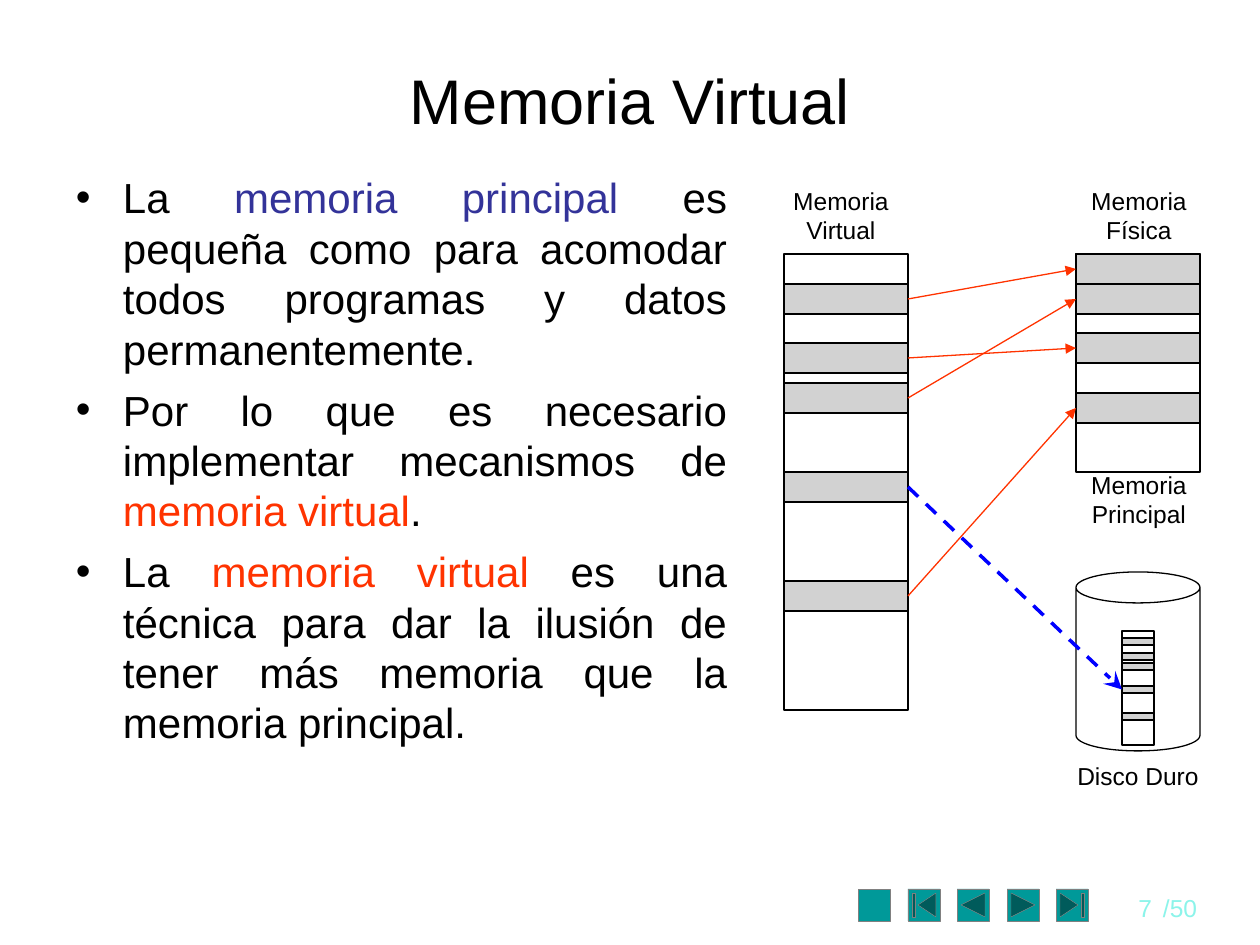
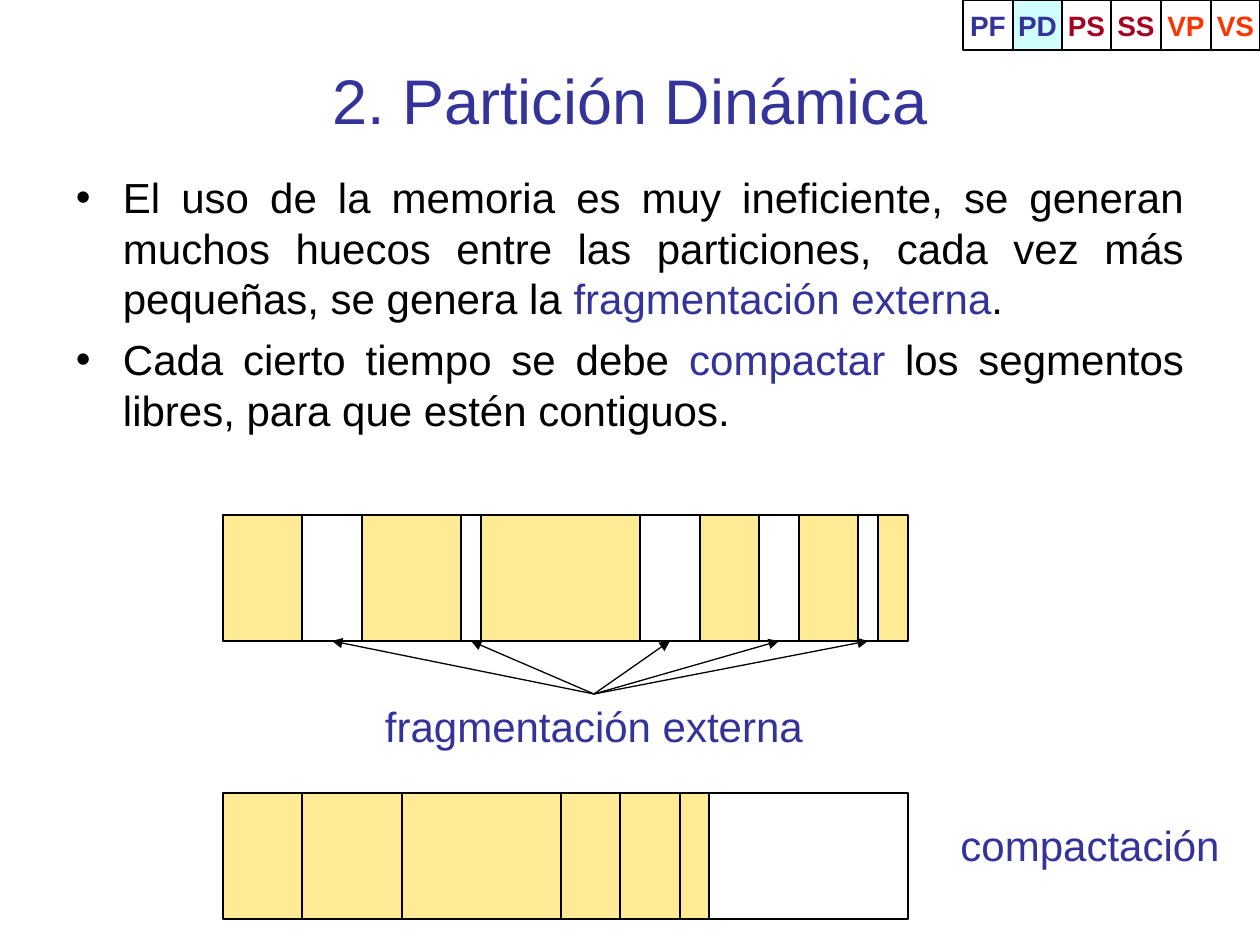
import itertools

import pptx
import pptx.dml.color
import pptx.enum.dml
import pptx.enum.shapes
import pptx.enum.text
import pptx.oxml
import pptx.oxml.ns
import pptx.util

EMU = 914400 / 126
FONT = "Arial"
COLORS = {
    "black": "000000", "white": "FFFFFF", "blue": "333399", "red": "FF3300",
    "wine": "A50021", "link": "0000FF", "gray": "C0C0C0", "edge": "808080",
    "teal": "009999", "aqua": "8CF4EA", "sky": "D1FFFF", "sand": "FFEB95",
}
SHAPE = pptx.enum.shapes.MSO_SHAPE
ALIGN = pptx.enum.text.PP_ALIGN
ANCHOR = pptx.enum.text.MSO_ANCHOR
TOP, LEFT, BOTTOM, RIGHT = range(4)
INSET = (13, 6)


def px(n):
    return pptx.util.Emu(round(n * EMU))


def rgb(name):
    return pptx.dml.color.RGBColor.from_string(COLORS[name])


def add_xml(parent, tag, **attrs):
    node = pptx.oxml.parse_xml(f"<a:{tag} {pptx.oxml.ns.nsdecls('a')}/>")
    for key, value in attrs.items():
        node.set(key, str(value))
    parent.append(node)
    return node


def split(start, total, sizes):
    """Share a length among sizes; give the start and length of each part."""
    ends = [round(total * n / sum(sizes))
            for n in itertools.accumulate(sizes, initial=0)]
    return [(start + a, b - a) for a, b in itertools.pairwise(ends)]


def write(shape, paras, size=14, color="black", bold=False, align=ALIGN.LEFT,
          anchor=ANCHOR.TOP, inset=INSET, wrap=True, bullet=False):
    """Fill a shape with paragraphs: each a string, or a list of runs.

    A run is a string, or a pair of string and colour name.
    """
    frame = shape.text_frame
    frame.word_wrap = wrap
    frame.vertical_anchor = anchor
    frame.margin_left = frame.margin_right = px(inset[0])
    frame.margin_top = frame.margin_bottom = px(inset[1])
    for i, runs in enumerate(paras):
        para = frame.add_paragraph() if i else frame.paragraphs[0]
        para.alignment = align
        if bullet:
            para.space_before = pptx.util.Pt(6)
            props = para._p.get_or_add_pPr()
            props.set("marL", str(px(47)))
            props.set("indent", str(px(-47)))
            add_xml(props, "buFont", typeface=FONT)
            add_xml(props, "buChar", char="•")
        for item in [runs] if isinstance(runs, str) else runs:
            words, tint = (item, color) if isinstance(item, str) else item
            run = para.add_run()
            run.text = words
            run.font.name = FONT
            run.font.size = pptx.util.Pt(size)
            run.font.bold = bold
            run.font.color.rgb = rgb(tint)


class Deck:
    """Holds the style and the current slide."""

    def __init__(self):
        self.file = pptx.Presentation()
        self.file.slide_width = px(1260)
        self.file.slide_height = px(945)
        self.slide = None

    def page(self, title, color="black"):
        self.slide = self.file.slides.add_slide(self.file.slide_layouts[6])
        self.text(63, 56, 1134, 87, [title], size=36, color=color,
                  align=ALIGN.CENTER, anchor=ANCHOR.MIDDLE, inset=(5, 5))

    def text(self, x, y, w, h, paras, **style):
        box = self.slide.shapes.add_textbox(px(x), px(y), px(w), px(h))
        write(box, paras, **style)
        return box

    def body(self, w, h, paras):
        self.text(63, 166, w, h, paras, size=24, align=ALIGN.JUSTIFY, bullet=True)

    def label(self, x, y, w, *lines):
        self.text(x, y, w, 30 * len(lines), lines, align=ALIGN.CENTER,
                  inset=(0, 0), wrap=False)

    def note(self, x, y, w, words):
        """Add a large one-line note, centred with room to spare."""
        return self.text(x, y, w, 63, [words], size=24, color="blue",
                         align=ALIGN.CENTER, inset=(0, 7))

    def shape(self, x, y, w, h, kind=SHAPE.RECTANGLE, fill=None, alpha=None,
              line="black", width=0.75):
        item = self.slide.shapes.add_shape(kind, px(x), px(y), px(w), px(h))
        item.shadow.inherit = False
        item.line.color.rgb = rgb(line)
        item.line.width = pptx.util.Pt(width)
        if fill:
            item.fill.solid()
            item.fill.fore_color.rgb = rgb(fill)
        else:
            item.fill.background()
        if alpha:
            tint = item.fill._xPr.find(".//" + pptx.oxml.ns.qn("a:srgbClr"))
            add_xml(tint, "alpha", val=alpha * 1000)
        return item

    def arrow(self, start, side, end, goal, color="black", width=0.75,
              head="triangle", scale="med", dash=None):
        """Join one side of the start shape to one side of the end shape."""
        link = self.slide.shapes.add_connector(
            pptx.enum.shapes.MSO_CONNECTOR.STRAIGHT, 0, 0, 0, 0)
        link.begin_connect(start, side)
        link.end_connect(end, goal)
        link.line.color.rgb = rgb(color)
        link.line.width = pptx.util.Pt(width)
        if dash:
            link.line.dash_style = dash
        add_xml(link.line._get_or_add_ln(), "tailEnd", type=head, w=scale, len=scale)
        add_xml(link._element.spPr, "effectLst")

    def stack(self, x, y, w, h, units, rows):
        """Draw a memory of some units, with used pages 3 units high."""
        self.shape(x, y, w, h)
        return [self.shape(x, y + round(h * row / units), w, round(h * 3 / units),
                           fill="gray", alpha=70) for row in rows]

    def bar(self, y, parts):
        """Draw a strip of (size, colour) partitions."""
        spans = split(223, 685, [size for size, _ in parts])
        return [self.shape(x, y, w, 126, fill=fill)
                for (x, w), (_, fill) in zip(spans, parts)]

    def tabs(self, names, active):
        for (x, w), (name, color) in zip(split(963, 297, [1] * len(names)), names):
            tab = self.shape(x, 0, w, 50, fill="sky" if name == active else "white")
            write(tab, [name], size=16, color=color, bold=True, wrap=False,
                  align=ALIGN.CENTER, anchor=ANCHOR.MIDDLE)

    def footer(self, number, total):
        kinds = (SHAPE.ACTION_BUTTON_CUSTOM, SHAPE.ACTION_BUTTON_BEGINNING,
                 SHAPE.ACTION_BUTTON_BACK_OR_PREVIOUS,
                 SHAPE.ACTION_BUTTON_FORWARD_OR_NEXT, SHAPE.ACTION_BUTTON_END)
        for (x, _), kind in zip(split(858, 248, [1] * len(kinds)), kinds):
            self.shape(x, 889, 32, 32, kind, fill="teal", line="edge", width=0.25)
        self.text(1097, 887, 68, 42, [str(number)], color="aqua", align=ALIGN.RIGHT)
        self.text(1150, 887, 66, 42, [f"/{total}"], color="aqua")


def show_virtual(deck):
    deck.page("Memoria Virtual")
    deck.footer(7, 50)
    deck.body(677, 694, [
        ["La ", ("memoria principal", "blue"),
         " es pequeña como para acomodar todos programas y datos permanentemente."],
        ["Por lo que es necesario implementar mecanismos de ",
         ("memoria virtual", "red"), "."],
        ["La ", ("memoria virtual", "red"),
         " es una técnica para dar la ilusión de tener más memoria que la"
         " memoria principal."],
    ])
    rows = (3, 9, 13, 22, 33)
    pages = deck.stack(784, 254, 124, 456, 46, rows)
    frames = deck.stack(1076, 254, 124, 218, 22, (0, 3, 8, 14))
    deck.shape(1076, 572, 124, 179, SHAPE.CAN)
    blocks = deck.stack(1122, 631, 32, 114, 46, rows)
    for page, frame in ((0, 0), (1, 2), (2, 1), (4, 3)):
        deck.arrow(pages[page], RIGHT, frames[frame], LEFT, color="red")
    deck.arrow(pages[3], RIGHT, blocks[3], LEFT, color="link", width=2,
               head="stealth", scale="lg", dash=pptx.enum.dml.MSO_LINE.DASH)
    deck.label(793, 186, 96, "Memoria", "Virtual")
    deck.label(1091, 186, 96, "Memoria", "Física")
    deck.label(1091, 470, 96, "Memoria", "Principal")
    deck.label(1077, 761, 122, "Disco Duro")


def show_dynamic(deck):
    deck.page("2. Partición Dinámica", color="blue")
    deck.body(1134, 287, [
        ["El uso de la memoria es muy ineficiente, se generan muchos huecos entre"
         " las particiones, cada vez más pequeñas, se genera la ",
         ("fragmentación externa", "blue"), "."],
        ["Cada cierto tiempo se debe ", ("compactar", "blue"),
         " los segmentos libres, para que estén contiguos."],
    ])
    sizes = (8, 6, 10, 2, 16, 6, 6, 4, 6, 2, 3)
    used, free = sizes[::2], sizes[1::2]
    parts = deck.bar(515, list(zip(sizes, itertools.cycle(("sand", "white")))))
    deck.bar(793, [(size, "sand") for size in used] + [(sum(free), "white")])
    cause = deck.note(373, 694, 442, "fragmentación externa")
    for hole in parts[1::2]:
        deck.arrow(cause, TOP, hole, BOTTOM)
    deck.note(948, 813, 284, "compactación")
    deck.tabs([("PF", "blue"), ("PD", "blue"), ("PS", "wine"), ("SS", "wine"),
               ("VP", "red"), ("VS", "red")], active="PD")


def main():
    deck = Deck()
    show_virtual(deck)
    show_dynamic(deck)
    deck.file.save("out.pptx")


if __name__ == "__main__":
    main()
